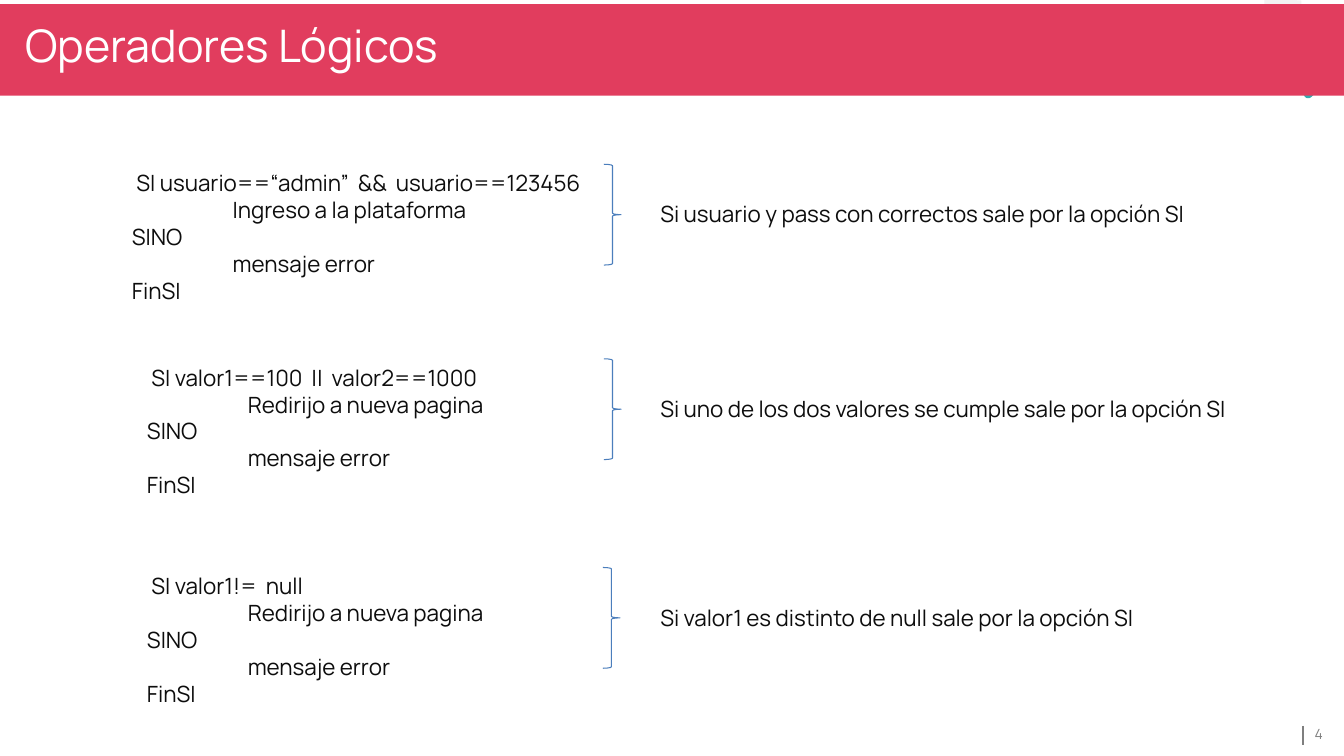
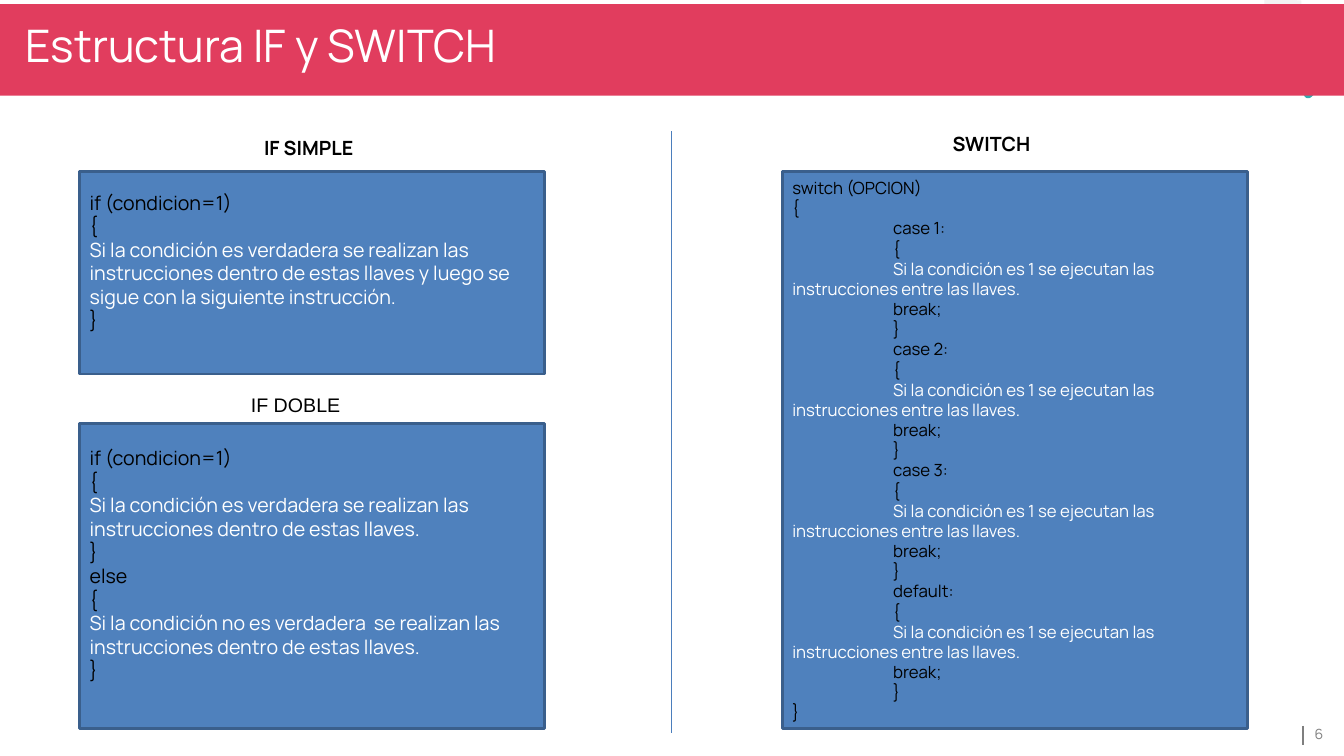
from lxml.etree import SubElement
from pptx import Presentation
from pptx.dml.color import RGBColor
from pptx.enum.shapes import MSO_CONNECTOR, MSO_SHAPE
from pptx.enum.text import MSO_ANCHOR, PP_ALIGN
from pptx.oxml.ns import qn
from pptx.util import Inches, Pt

RED = RGBColor(0xE1, 0x3D, 0x5E)
WHITE = RGBColor(0xFF, 0xFF, 0xFF)
BLACK = RGBColor(0, 0, 0)
INK = RGBColor(0x0D, 0x0D, 0x0D)
GRAY = RGBColor(0x7F, 0x7F, 0x7F)
PALE = RGBColor(0xF2, 0xF2, 0xF2)
TEAL = RGBColor(0x32, 0xAA, 0xAF)
BLUE = RGBColor(0x4F, 0x81, 0xBD)
BLUE_EDGE = RGBColor(0x3A, 0x5F, 0x8C)
BLUE_LINE = RGBColor(0x4B, 0x7E, 0xBC)
FONT = "Manrope"


def write(tf, lines, size, bold=False, font=FONT):
    """Add a paragraph per (text, colour) pair; a leading tab becomes a first-line indent."""
    for i, (text, color) in enumerate(lines):
        p = tf.add_paragraph() if i else tf.paragraphs[0]
        p.alignment = PP_ALIGN.LEFT
        if text.startswith("\t"):
            pPr = p._p.get_or_add_pPr()
            pPr.set("marL", "0")
            pPr.set("indent", str(Inches(1)))
        r = p.add_run()
        r.text = text.lstrip("\t")
        r.font.name, r.font.size, r.font.bold = font, Pt(size), bold
        r.font.color.rgb = color


def add_text(s, box, lines, size, inset=None, wrap=True, **style):
    tf = s.shapes.add_textbox(*map(Inches, box)).text_frame
    tf.word_wrap = wrap
    if inset is not None:
        tf.margin_left = tf.margin_right = Inches(inset)
        tf.margin_top = tf.margin_bottom = Inches(inset)
    write(tf, lines, size, **style)
    return tf


prs = Presentation()
prs.slide_width, prs.slide_height = Inches(13.33), Inches(7.5)

# Shared frame: corner ornament, title band, page number
FRAME = [
    (MSO_SHAPE.BLOCK_ARC, (12.54, -0.79, 1.59, 1.59), 270, (108, 162.19, 0.23), PALE),
    (MSO_SHAPE.ROUND_2_SAME_RECTANGLE, (13.11, 0.45, 0.09, 0.6), 225, (0.5, 0), TEAL),
    (MSO_SHAPE.RECTANGLE, (-0.03, 0.04, 13.39, 0.91), 0, (), RED),
]
slides, connectors = [], []
for title, number in (("Operadores Lógicos", "4"), ("Estructura IF y SWITCH", "6")):
    s = prs.slides.add_slide(prs.slide_layouts[6])
    slides.append(s)
    for kind, box, rotation, adjustments, color in FRAME:
        sp = s.shapes.add_shape(kind, *map(Inches, box))
        sp.shadow.inherit = False
        sp.rotation = rotation
        for i, value in enumerate(adjustments):
            sp.adjustments[i] = value
        sp.fill.solid()
        sp.fill.fore_color.rgb = color
        sp.line.fill.background()
    add_text(s, (0.12, 0.05, 12.52, 0.64), [(title, WHITE)], 32, inset=0.13)
    tick = s.shapes.add_connector(MSO_CONNECTOR.STRAIGHT, Inches(12.92), Inches(7.2),
                                  Inches(12.92), Inches(7.39))
    tick.line.color.rgb, tick.line.width = GRAY, Pt(1.25)
    connectors.append(tick)
    tf = add_text(s, (13, 7.14, 0.36, 0.28), [(number, GRAY)], 10, inset=0.04)
    tf.vertical_anchor = MSO_ANCHOR.MIDDLE

operators, structures = slides

# Logical operators: pseudocode, brace, explanation
EXAMPLES = [
    (1.63, 1.21, 4.82, 5.99, " SI usuario==“admin”  &&  usuario==123456", "Ingreso a la plataforma",
     "Si usuario y pass con correctos sale por la opción SI"),
    (3.56, 1.36, 4.46, 5.99, " SI valor1==100  ||  valor2==1000", "Redirijo a nueva pagina",
     "Si uno de los dos valores se cumple sale por la opción SI"),
    (5.63, 1.36, 4.46, 5.98, " SI valor1!=  null", "Redirijo a nueva pagina",
     "Si valor1 es distinto de null sale por la opción SI"),
]
for top, left, width, brace_left, condition, action, meaning in EXAMPLES:
    code = [condition, "\t" + action, "SINO", "\tmensaje error", "FinSI"]
    add_text(operators, (left, top, width, 1.45), [(line, INK) for line in code], 16)
    sp = operators.shapes.add_shape(MSO_SHAPE.RIGHT_BRACE, Inches(brace_left), Inches(top),
                                    Inches(0.17), Inches(1))
    sp.shadow.inherit = False
    sp.fill.background()
    sp.line.color.rgb, sp.line.width = BLUE_LINE, Pt(0.75)
    add_text(operators, (6.45, top + 0.31, 6.09, 0.37), [(meaning, INK)], 16, wrap=False)

# IF and SWITCH: headed code boxes on both sides of a divider
IF_SIMPLE = [
    ("if (condicion=1)", BLACK),
    ("{", BLACK),
    ("Si la condición es verdadera se realizan las instrucciones dentro de estas llaves "
     "y luego se sigue con la siguiente instrucción.", WHITE),
    ("}", BLACK),
]
IF_DOUBLE = [
    ("if (condicion=1)", BLACK),
    ("{", BLACK),
    ("Si la condición es verdadera se realizan las instrucciones dentro de estas llaves.", WHITE),
    ("}", BLACK),
    ("else", BLACK),
    ("{", BLACK),
    ("Si la condición no es verdadera  se realizan las instrucciones dentro de estas llaves.", WHITE),
    ("}", BLACK),
]
SWITCH = [("switch (OPCION)", BLACK), ("{", BLACK)]
for label in ("case 1:", "case 2:", "case 3:", "default:"):
    SWITCH += [
        ("\t" + label, BLACK),
        ("\t{", BLACK),
        ("\tSi la condición es 1 se ejecutan las instrucciones entre las llaves.", WHITE),
        ("\tbreak;", BLACK),
        ("\t}", BLACK),
    ]
SWITCH.append(("}", BLACK))

CODE_BOXES = [
    ("IF SIMPLE", (2.52, 1.3, 1.15, 0.34), True, FONT, (0.79, 1.7, 4.61, 2.01), IF_SIMPLE, 14, 0.28),
    ("IF DOBLE", (2.39, 3.85, 1.1, 0.34), False, "Arial", (0.79, 4.2, 4.61, 3.03), IF_DOUBLE, 14, 0.29),
    ("SWITCH", (9.35, 1.26, 0.99, 0.34), True, FONT, (7.76, 1.7, 4.61, 5.53), SWITCH, 12, 0.05),
]
for heading, heading_box, bold, font, box, code, size, bottom in CODE_BOXES:
    sp = structures.shapes.add_shape(MSO_SHAPE.RECTANGLE, *map(Inches, box))
    sp.shadow.inherit = False
    sp.fill.solid()
    sp.fill.fore_color.rgb = BLUE
    sp.line.color.rgb, sp.line.width = BLUE_EDGE, Pt(2)
    tf = sp.text_frame
    tf.word_wrap = True
    tf.vertical_anchor = MSO_ANCHOR.MIDDLE
    tf.margin_bottom = Inches(bottom)
    write(tf, code, size)
    add_text(structures, heading_box, [(heading, BLACK)], 14, wrap=False, bold=bold, font=font)

divider = structures.shapes.add_connector(MSO_CONNECTOR.STRAIGHT, Inches(6.66), Inches(1.3),
                                          Inches(6.66), Inches(7.27))
divider.line.color.rgb, divider.line.width = BLUE_LINE, Pt(0.75)
connectors.append(divider)

for connector in connectors:
    SubElement(connector._element.spPr, qn("a:effectLst"))

prs.save("out.pptx")
